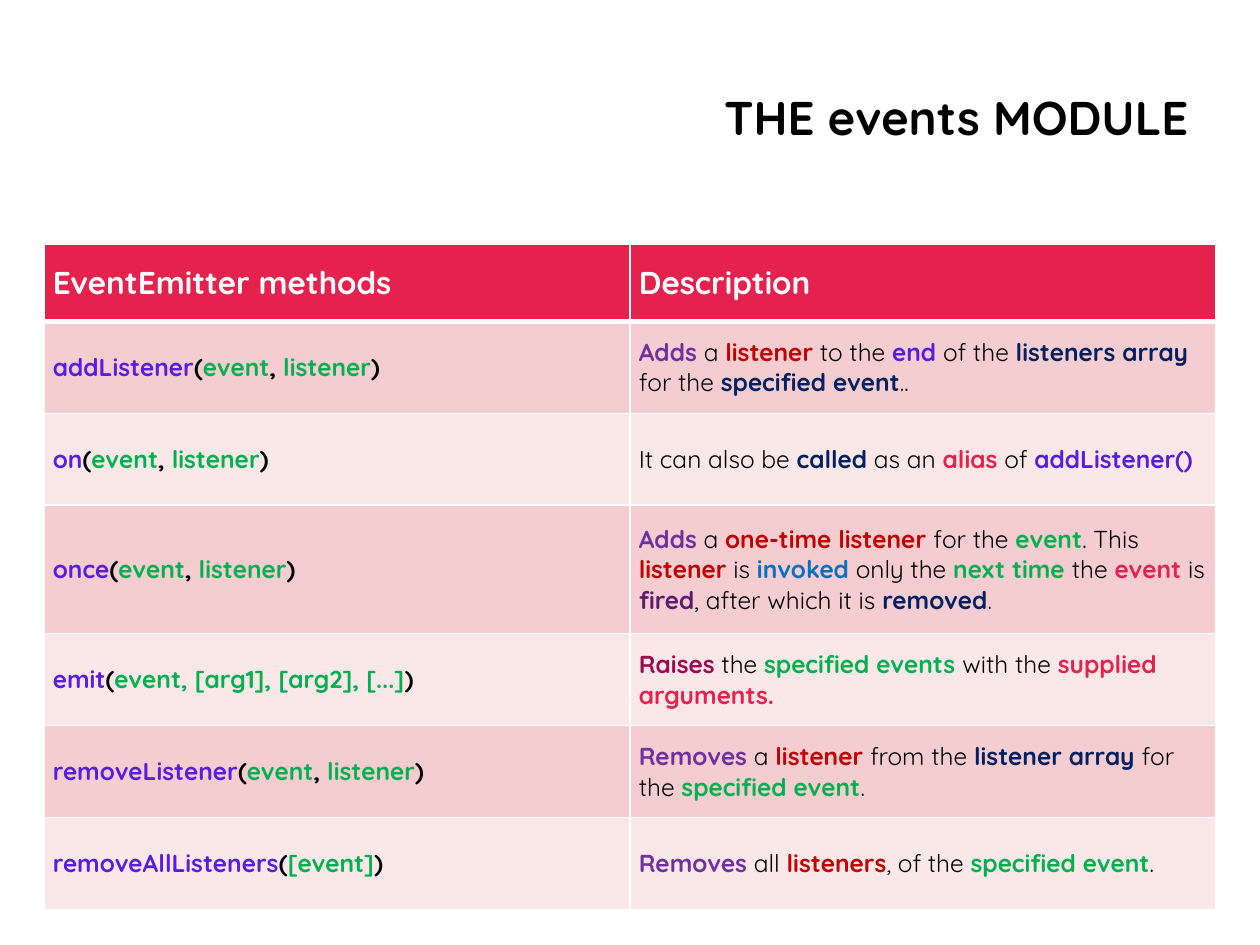
from lxml.etree import SubElement
from pptx import Presentation
from pptx.dml.color import RGBColor
from pptx.enum.text import MSO_ANCHOR, PP_ALIGN
from pptx.oxml.ns import qn
from pptx.util import Inches, Pt

FONT = "Quicksand"
BLACK = RGBColor(0x00, 0x00, 0x00)
WHITE = RGBColor(0xFF, 0xFF, 0xFF)
CRIMSON = RGBColor(0xE5, 0x22, 0x4E)
DARK_PINK = RGBColor(0xF5, 0xCD, 0xD0)
LIGHT_PINK = RGBColor(0xFA, 0xE8, 0xE9)
VIOLET = RGBColor(0x58, 0x1E, 0xDD)
GREEN = RGBColor(0x00, 0xB0, 0x50)
PURPLE = RGBColor(0x70, 0x30, 0xA0)
RED = RGBColor(0xC0, 0x00, 0x00)
NAVY = RGBColor(0x00, 0x20, 0x60)
BLUE = RGBColor(0x00, 0x70, 0xC0)
PLUM = RGBColor(0x5F, 0x19, 0x6F)
MAGENTA = RGBColor(0x9D, 0x07, 0x4E)

EVENT_LISTENER = [("event", GREEN), (", ", BLACK), ("listener", GREEN)]

# Method name, its arguments, description
METHODS = [
    ("addListener", EVENT_LISTENER, [
        ("Adds ", PURPLE), ("a ", BLACK), ("listener", RED), (" to the ", BLACK),
        ("end", VIOLET), (" of the ", BLACK), ("listeners array ", NAVY),
        ("for the ", BLACK), ("specified event", NAVY), ("..", BLACK)]),
    ("on", EVENT_LISTENER, [
        ("It can also be ", BLACK), ("called", NAVY), (" as an ", BLACK),
        ("alias", CRIMSON), (" of ", BLACK), ("addListener()", VIOLET)]),
    ("once", EVENT_LISTENER, [
        ("Adds", PURPLE), (" a ", BLACK), ("one-time listener ", RED),
        ("for the ", BLACK), ("event", GREEN), (". This ", BLACK),
        ("listener", RED), (" is ", BLACK), ("invoked", BLUE),
        (" only the ", BLACK), ("next time ", GREEN), ("the ", BLACK),
        ("event ", CRIMSON), ("is ", BLACK), ("fired", PLUM),
        (", after which it is ", BLACK), ("removed", NAVY), (".", BLACK)]),
    ("emit", [("event, [arg1], [arg2], [...]", GREEN)], [
        ("Raises", MAGENTA), (" the ", BLACK), ("specified events ", GREEN),
        ("with the ", BLACK), ("supplied arguments.", CRIMSON)]),
    ("removeListener", EVENT_LISTENER, [
        ("Removes", PURPLE), (" a ", BLACK), ("listener", RED),
        (" from the ", BLACK), ("listener array ", NAVY), ("for the ", BLACK),
        ("specified event", GREEN), (".", BLACK)]),
    ("removeAllListeners", [("[event]", GREEN)], [
        ("Removes", PURPLE), (" all ", BLACK), ("listeners", RED),
        (", of the ", BLACK), ("specified event", GREEN), (".", BLACK)]),
]
ROW_HEIGHTS = [0.61, 0.73, 0.73, 1.02, 0.73, 0.73, 0.73]


def add_border(cell, side, width):
    line = SubElement(cell._tc.get_or_add_tcPr(), qn(f"a:ln{side}"), w=str(Pt(width)))
    fill = SubElement(line, qn("a:solidFill"))
    SubElement(fill, qn("a:srgbClr"), val=str(WHITE))


def fill_cell(cell, runs, size, color, vertical_margin, bottom_border, plain_black):
    """Style a cell and write its runs in bold, black ones regular if plain_black."""
    for side, width in (("L", 1), ("R", 1), ("T", 1), ("B", bottom_border)):
        add_border(cell, side, width)
    cell.fill.solid()
    cell.fill.fore_color.rgb = color
    cell.vertical_anchor = MSO_ANCHOR.MIDDLE
    cell.margin_left = cell.margin_right = Inches(0.07)
    cell.margin_top = cell.margin_bottom = Inches(vertical_margin)
    paragraph = cell.text_frame.paragraphs[0]
    paragraph.font.name = FONT
    paragraph.font.size = Pt(size)
    for text, text_color in runs:
        run = paragraph.add_run()
        run.text = text
        run.font.bold = not (plain_black and text_color == BLACK)
        run.font.color.rgb = text_color


presentation = Presentation()
presentation.slide_width = Inches(10)
presentation.slide_height = Inches(7.5)
slide = presentation.slides.add_slide(presentation.slide_layouts[6])

title = slide.shapes.add_textbox(Inches(2.56), Inches(0.25), Inches(6.97), Inches(1.41))
title.text_frame.word_wrap = True
title.text_frame.vertical_anchor = MSO_ANCHOR.MIDDLE
paragraph = title.text_frame.paragraphs[0]
paragraph.text = "THE events MODULE"
paragraph.alignment = PP_ALIGN.RIGHT
paragraph.line_spacing = 0.9
paragraph.font.name = FONT
paragraph.font.size = Pt(27)
paragraph.font.bold = True
paragraph.font.color.rgb = BLACK

table = slide.shapes.add_table(
    len(ROW_HEIGHTS), 2, Inches(0.35), Inches(1.94), Inches(9.3), Inches(sum(ROW_HEIGHTS))
).table
for row, height in zip(table.rows, ROW_HEIGHTS):
    row.height = Inches(height)

for column, heading in enumerate(("EventEmitter methods", "Description")):
    fill_cell(table.cell(0, column), [(heading, WHITE)], 18, CRIMSON, 0.1, 3, False)

for row, (name, arguments, description) in enumerate(METHODS, start=1):
    color = DARK_PINK if row % 2 else LIGHT_PINK
    signature = [(name, VIOLET), ("(", BLACK), *arguments, (")", BLACK)]
    fill_cell(table.cell(row, 0), signature, 14, color, 0.07, 1, False)
    fill_cell(table.cell(row, 1), description, 14, color, 0.07, 1, True)
    if row == 1:
        for cell in table.rows[row].cells:
            cell._tc.tcPr.find(qn("a:lnT")).set("w", str(Pt(3)))

presentation.save("out.pptx")
